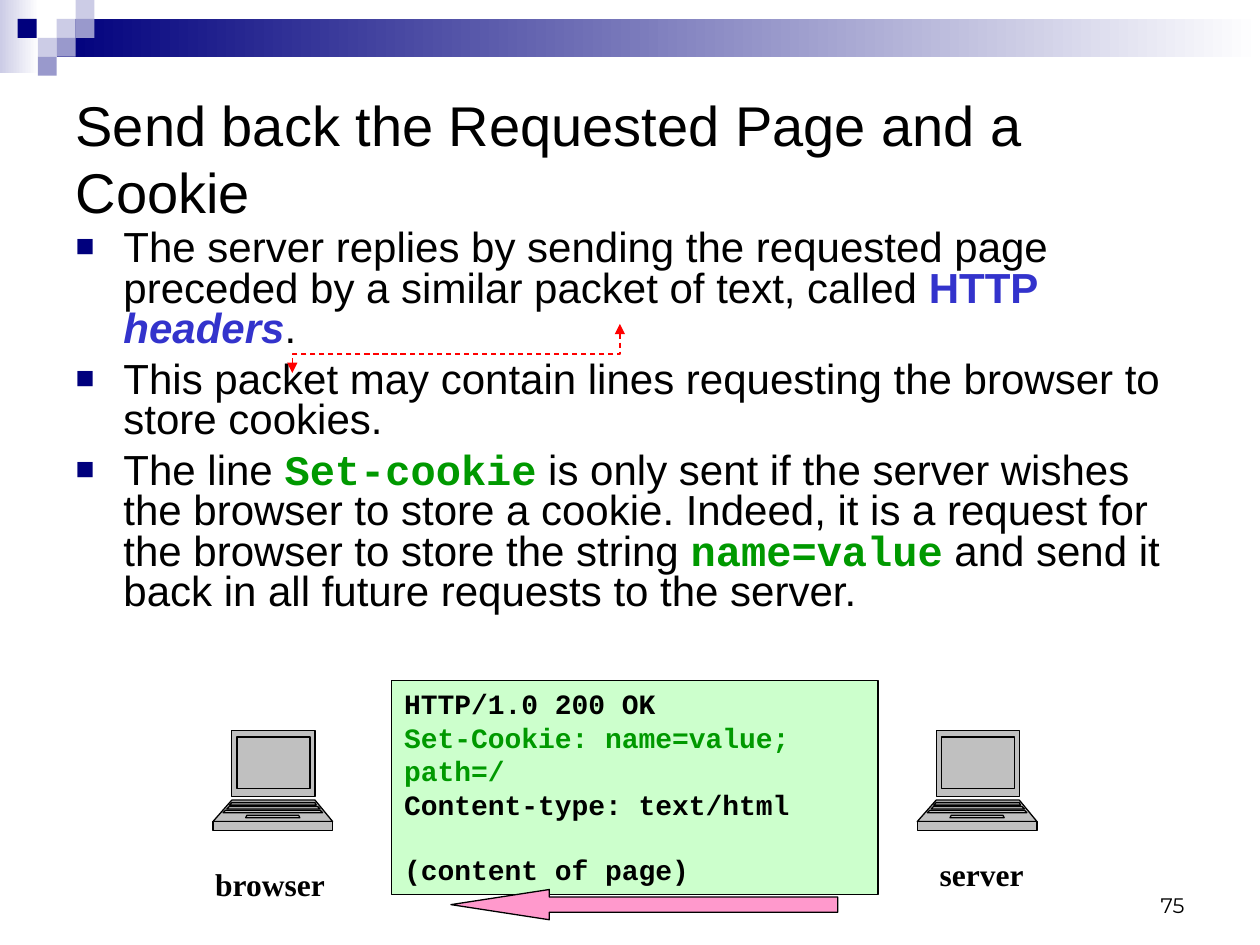
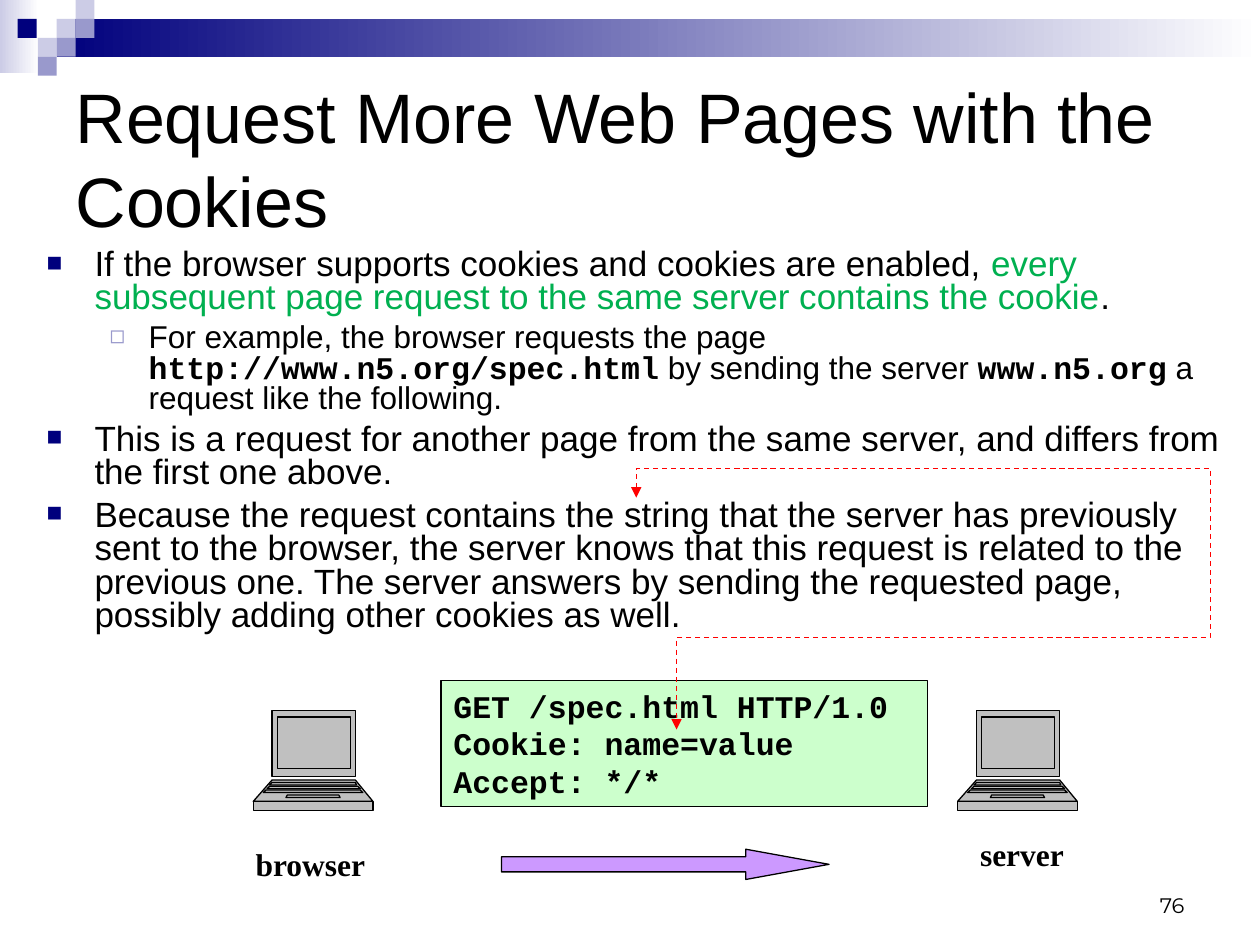
from lxml.etree import SubElement
from pptx import Presentation
from pptx.dml.color import RGBColor
from pptx.enum.dml import MSO_LINE
from pptx.enum.shapes import MSO_SHAPE as SHAPE
from pptx.enum.text import MSO_ANCHOR as ANCHOR, MSO_AUTO_SIZE as AUTO, PP_ALIGN as ALIGN
from pptx.oxml.ns import qn
from pptx.util import Inches, Pt

NAVY, LILAC, PALE = "00007D", "9999CC", "CCCCE6"
BLACK, WHITE, RED, GRAY, MINT = "000000", "FFFFFF", "FF0000", "C0C0C0", "CCFFCC"
BLUE, GREEN, EMERALD = "3333CC", "009900", "00B050"
SANS, MONO, SERIF, NUMBER_FONT = "Arial", "Courier New", "Times New Roman", "Montserrat"

TILE = 0.15
TILES = [(0.45, 0.15, PALE), (0.6, 0, PALE), (0.6, 0.15, LILAC), (0.3, 0.3, PALE),
         (0.14, 0.15, NAVY), (0.45, 0.3, LILAC), (0.3, 0.45, LILAC)]

# Each laptop part: top, bottom, then left and right of its upper and lower edges.
LAPTOP_PARTS = [
    (0, 0.52, 0.15, 0.81, 0.15, 0.81),
    (0.55, 0.72, 0.15, 0.81, 0, 0.95),
    (0.72, 0.79, 0, 0.95, 0, 0.95),
    (0.05, 0.46, 0.19, 0.77, 0.19, 0.77),
    (0.57, 0.59, 0.15, 0.81, 0.13, 0.82),
    (0.67, 0.69, 0.27, 0.68, 0.26, 0.69),
    (0.6, 0.62, 0.13, 0.83, 0.11, 0.85),
    (0.63, 0.65, 0.1, 0.85, 0.08, 0.87),
]
SERVER_GAP = 5.59

CODE = {"name": MONO, "bold": True}
GREEN_CODE = {**CODE, "color": GREEN}


def rgb(value):
    """Turn a hex string into a colour."""
    return RGBColor.from_string(value)


def inches(*lengths):
    """Convert several lengths to EMU."""
    return [Inches(length) for length in lengths]


def set_font(font, name=None, size=None, color=None, bold=None, italic=None):
    """Apply the given font settings."""
    if name:
        font.name = name
    if size:
        font.size = Pt(size)
    if color:
        font.color.rgb = rgb(color)
    if bold is not None:
        font.bold = bold
    if italic is not None:
        font.italic = italic


def write(paragraph, parts, **base):
    """Fill a paragraph with strings or (string, font overrides) parts."""
    set_font(paragraph.font, **base)
    for part in parts:
        words, overrides = (part, {}) if isinstance(part, str) else part
        for index, line in enumerate(words.split("\n")):
            if index:
                paragraph.add_line_break()
            if line:
                run = paragraph.add_run()
                run.text = line
                set_font(run.font, **overrides)


def finish(shape, fill=None, line=None):
    """Give a shape a flat fill and a thin outline, or none."""
    shape.shadow.inherit = False
    if fill:
        shape.fill.solid()
        shape.fill.fore_color.rgb = rgb(fill)
    else:
        shape.fill.background()
    if line:
        shape.line.color.rgb = rgb(line)
        shape.line.width = Pt(0.75)
    else:
        shape.line.fill.background()
    return shape


def add_box(slide, box, kind=SHAPE.RECTANGLE, fill=None, line=None):
    """Add a preset shape in the given box."""
    return finish(slide.shapes.add_shape(kind, *inches(*box)), fill, line)


def add_fade(slide, box, start):
    """Add a band that fades from a colour to white."""
    band = add_box(slide, box)
    band.fill.gradient()
    band.fill.gradient_angle = 0
    for stop, color in zip(band.fill.gradient_stops, (start, WHITE)):
        stop.color.rgb = rgb(color)
    return band


def decorate_layout(layout, slide):
    """Put the shared bands and tiles on the layout, behind its placeholders."""
    parts = [add_fade(slide, (0, 0, 0.31, 0.58), PALE),
             add_fade(slide, (0.45, 0.15, 9.55, 0.3), NAVY)]
    parts += [add_box(slide, (left, top, TILE, TILE), fill=color) for left, top, color in TILES]
    for index, part in enumerate(parts):
        layout.shapes.element.insert(2 + index, part.element)


def place(shape, box):
    """Move a placeholder to a box and return its text frame."""
    shape.left, shape.top, shape.width, shape.height = inches(*box)
    shape.text_frame.auto_size = AUTO.NONE
    shape.text_frame.word_wrap = True
    return shape.text_frame


def add_title(slide, box, words, size):
    """Fill the title placeholder."""
    frame = place(slide.shapes.title, box)
    frame.vertical_anchor = ANCHOR.MIDDLE
    heading = frame.paragraphs[0]
    heading.alignment = ALIGN.LEFT
    write(heading, [words], name=SANS, size=size, color=BLACK)


def set_bullet(paragraph, level):
    """Set the indent and bullet of a list level."""
    margin, hang, mark, color, percent = [(0.38, 0.38, "■", NAVY, 75),
                                          (0.81, 0.31, "◻", LILAC, 80)][level]
    paragraph.level = level
    props = paragraph._p.get_or_add_pPr()
    props.set("marL", str(Inches(margin)))
    props.set("indent", str(-Inches(hang)))
    SubElement(SubElement(props, qn("a:buClr")), qn("a:srgbClr"), val=color)
    SubElement(props, qn("a:buSzPct"), val=str(percent * 1000))
    SubElement(props, qn("a:buChar"), char=mark)


def add_list(slide, box, items):
    """Fill the body placeholder with (level, size, parts) items."""
    frame = place(slide.placeholders[1], box)
    for index, (level, size, parts) in enumerate(items):
        item = frame.add_paragraph() if index else frame.paragraphs[0]
        item.line_spacing = 0.8
        item.space_before = Pt(size / 4)
        set_bullet(item, level)
        write(item, parts, name=SANS, size=size, color=BLACK)


def add_label(slide, box, words, **font):
    """Add a one-line text box and return its frame."""
    frame = slide.shapes.add_textbox(*inches(*box)).text_frame
    frame.word_wrap = True
    write(frame.paragraphs[0], [words], color=BLACK, **font)
    return frame


def add_page_number(slide, number):
    """Add the page number at the lower right."""
    frame = add_label(slide, (7.17, 6.83, 2.33, 0.5), str(number), name=NUMBER_FONT, size=12)
    frame.vertical_anchor = ANCHOR.BOTTOM
    frame.paragraphs[0].alignment = ALIGN.RIGHT


def add_laptop(slide, left, top):
    """Draw a laptop whose overlapping parts are filled one by one."""
    outline = slide.shapes.build_freeform(0, 0)
    for index, (upper, lower, up_left, up_right, low_left, low_right) in enumerate(LAPTOP_PARTS):
        corners = [inches(left + x, top + y) for x, y in (
            (up_left, upper), (low_left, lower), (low_right, lower), (up_right, upper))]
        if index == 0:
            outline = slide.shapes.build_freeform(*corners[0])
        else:
            outline.move_to(*corners[0])
        outline.add_line_segments(corners[1:], close=True)
    laptop = finish(outline.convert_to_shape(), GRAY, BLACK)
    contours = laptop.element.find(".//" + qn("a:pathLst"))
    joined = contours[0]
    for step in list(joined):
        if step.tag == qn("a:moveTo"):
            contour = SubElement(contours, joined.tag, dict(joined.attrib))
        contour.append(step)
    contours.remove(joined)


def add_computers(slide, left, top):
    """Draw the browser and the server with their names."""
    for name, x, shift, drop in (("browser", left, -0.08, 1.02),
                                 ("server", left + SERVER_GAP, 0.08, 0.94)):
        add_laptop(slide, x, top)
        frame = add_label(slide, (x + shift, top + drop, 1.1, 0.4), name,
                          name=SERIF, size=18, bold=True)
        frame.paragraphs[0].space_before = Pt(11.2)


def add_message(slide, box, size, blocks):
    """Draw the HTTP message; each block is (space before, parts)."""
    frame = add_box(slide, box, fill=MINT, line=BLACK).text_frame
    frame.word_wrap = True
    frame.vertical_anchor = ANCHOR.TOP
    for index, (space, parts) in enumerate(blocks):
        block = frame.add_paragraph() if index else frame.paragraphs[0]
        block.alignment = ALIGN.LEFT
        block.space_before = Pt(space)
        write(block, parts, size=size, color=BLACK, **CODE)


def add_flow_arrow(slide, box, kind, fill, head):
    """Draw the block arrow that shows the direction of the message."""
    arrow = add_box(slide, box, kind, fill, BLACK)
    arrow.adjustments[0] = 0.5
    arrow.adjustments[1] = head


def add_dashed_link(slide, points):
    """Draw a dashed red route with an arrowhead at both ends."""
    start, *turns = [inches(*point) for point in points]
    route = slide.shapes.build_freeform(*start)
    route.add_line_segments(turns, close=False)
    link = finish(route.convert_to_shape(), line=RED)
    link.line.dash_style = MSO_LINE.DASH
    for end in ("a:headEnd", "a:tailEnd"):
        SubElement(link.line._ln, qn(end), type="triangle")


def fill_reply_slide(slide):
    """Show the server's reply that sets a cookie."""
    add_page_number(slide, 75)
    add_title(slide, (0.5, 0.5, 9.23, 1.5), "Send back the Requested Page and a Cookie", 32)
    add_list(slide, (0.5, 1.78, 9, 3.39), [
        (0, 24, ["The server replies by sending the requested page preceded by a similar "
                 "packet of text, called ", ("HTTP ", {"color": BLUE, "bold": True}),
                 ("headers", {"color": BLUE, "bold": True, "italic": True}), "."]),
        (0, 24, ["This packet may contain lines requesting the browser to store cookies."]),
        (0, 24, ["The line ", ("Set-cookie", GREEN_CODE),
                 " is only sent if the server wishes the browser to store a cookie. Indeed, "
                 "it is a request for the browser to store the string ",
                 ("name=value", GREEN_CODE),
                 " and send it back in all future requests to the server."])])
    add_message(slide, (3.11, 5.4, 3.86, 1.7), 16, [
        (4, ["HTTP/1.0 200 OK\n", ("Set-Cookie: name=value; path=/", {"color": GREEN}),
             "\nContent-type: text/html"]),
        (18, ["(content of page)"])])
    add_computers(slide, 1.69, 5.8)
    add_flow_arrow(slide, (3.58, 7.06, 3.07, 0.24), SHAPE.LEFT_ARROW, "FF99CC", 3.25)
    add_dashed_link(slide, [(4.92, 2.57), (4.92, 2.81), (2.32, 2.81), (2.32, 2.96)])


def fill_request_slide(slide):
    """Show the browser's next request that carries the cookie."""
    add_page_number(slide, 76)
    add_title(slide, (0.5, 0.5, 9, 1.5), "Request More Web Pages with the Cookies", 40)
    add_list(slide, (0.27, 1.93, 9.61, 3.31), [
        (0, 20, ["If the browser supports cookies and cookies are enabled, ",
                 ("every subsequent page request to the same server contains the cookie",
                  {"color": EMERALD}), "."]),
        (1, 18, ["For example, the browser requests the page ",
                 ("http://www.n5.org/spec.html", CODE), " by sending the server ",
                 ("www.n5.org", CODE), " a request like the following."]),
        (0, 20, ["This is a request for another page from the same server, and differs from "
                 "the first one above."]),
        (0, 20, ["Because the request contains the string that the server has previously sent "
                 "to the browser, the server knows that this request is related to the previous "
                 "one. The server answers by sending the requested page, possibly adding other "
                 "cookies as well."])])
    add_message(slide, (3.5, 5.4, 3.86, 1), 18, [
        (4.5, ["GET /spec.html HTTP/1.0\nCookie: name=value\nAccept: */*"])])
    add_computers(slide, 2.01, 5.64)
    add_flow_arrow(slide, (3.98, 6.74, 2.6, 0.24), SHAPE.RIGHT_ARROW, "CC99FF", 2.75)
    add_dashed_link(slide, [(5.05, 3.95), (5.05, 3.72), (9.61, 3.72),
                            (9.61, 5.06), (5.37, 5.06), (5.37, 5.79)])


def main():
    """Build and save the two slides."""
    deck = Presentation()
    deck.slide_width, deck.slide_height = inches(10, 7.5)
    layout = deck.slide_layouts[1]
    reply, request = [deck.slides.add_slide(layout) for _ in range(2)]
    decorate_layout(layout, reply)
    fill_reply_slide(reply)
    fill_request_slide(request)
    deck.save("out.pptx")


if __name__ == "__main__":
    main()
